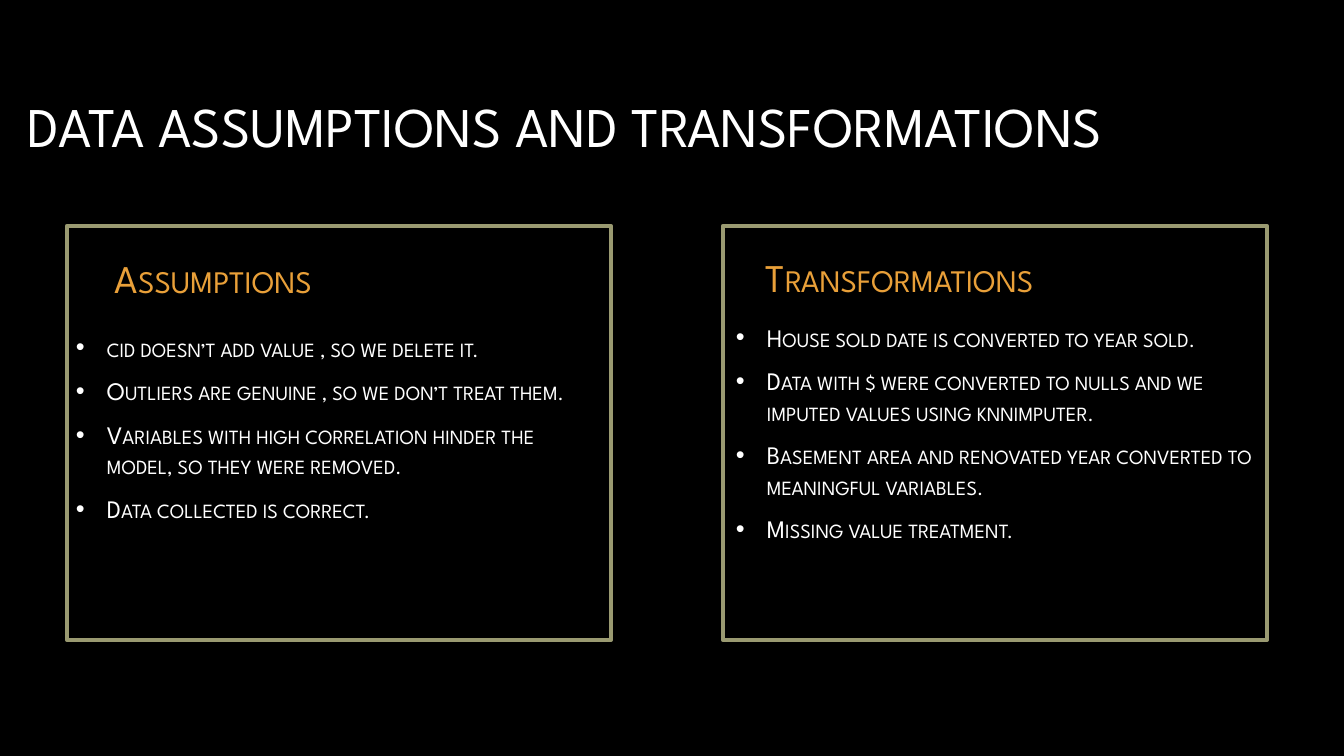
from pptx import Presentation
from pptx.dml.color import RGBColor
from pptx.enum.shapes import MSO_SHAPE
from pptx.enum.text import MSO_ANCHOR
from pptx.oxml.ns import qn
from pptx.util import Pt
from lxml.etree import SubElement

# Content
TITLE = "DATA ASSUMPTIONS AND TRANSFORMATIONS"
TITLE_BOX = (18, 20, 1318, 210)
PANELS = [
    {
        "heading": "Assumptions",
        "frame": (67, 226, 544, 414),
        "heading_box": (105, 243, 506, 63),
        "list_box": (66, 327, 537, 281),
        "items": [
            "cid doesn’t add value , so we delete it.",
            "Outliers are genuine , so we don’t treat them.",
            "Variables with high correlation hinder the model, so they were removed.",
            "Data collected is correct.",
        ],
    },
    {
        "heading": "Transformations",
        "frame": (723, 226, 544, 414),
        "heading_box": (756, 242, 508, 63),
        "list_box": (726, 317, 538, 281),
        "items": [
            "House sold date is converted to year sold.",
            "Data with $ were converted to nulls and we imputed values using knnimputer.",
            "Basement area and renovated year converted to meaningful variables.",
            "Missing value treatment.",
        ],
    },
]
COLORS = {"back": "000000", "text": "FFFFFF", "heading": "E9A039", "frame": "9A9A71"}
FONT = "League Spartan"

# Scale: 1344 px across a 13.33 inch slide
SLIDE_W, SLIDE_H = 1344, 756
EMU = 12192000 / SLIDE_W
INDENT = 31


def px(n):
    return round(n * EMU)


def rgb(name):
    return RGBColor.from_string(COLORS[name])


def add_bullet(p):
    pPr = p._p.get_or_add_pPr()
    pPr.set("marL", str(px(INDENT)))
    pPr.set("indent", str(-px(INDENT)))
    SubElement(pPr, qn("a:buFont"), typeface="Arial")
    SubElement(pPr, qn("a:buChar"), char="•")


def add_text(s, box, lines, size, color, anchor, small=True, bullets=False):
    tb = s.shapes.add_textbox(*map(px, box))
    tf = tb.text_frame
    tf.word_wrap = True
    tf.vertical_anchor = anchor
    for i, line in enumerate(lines):
        p = tf.paragraphs[0] if i == 0 else tf.add_paragraph()
        if i:
            p.space_before = Pt(size * 0.2)
        if small:
            p.space_after = Pt(6)
        if bullets:
            add_bullet(p)
        r = p.add_run()
        r.text = line
        r.font.name = FONT
        r.font.size = Pt(size)
        r.font.color.rgb = rgb(color)
        if small:
            r._r.get_or_add_rPr().set("cap", "small")


def add_frame(s, box):
    sp = s.shapes.add_shape(MSO_SHAPE.RECTANGLE, *map(px, box))
    sp.shadow.inherit = False
    sp.fill.background()
    sp.line.color.rgb = rgb("frame")
    sp.line.width = Pt(3)
    SubElement(sp.line._get_or_add_ln(), qn("a:round"))


# Slide
prs = Presentation()
prs.slide_width, prs.slide_height = px(SLIDE_W), px(SLIDE_H)
s = prs.slides.add_slide(prs.slide_layouts[6])
s.background.fill.solid()
s.background.fill.fore_color.rgb = rgb("back")

# Title
add_text(s, TITLE_BOX, [TITLE], 40, "text", MSO_ANCHOR.MIDDLE, small=False)

# Panels
for panel in PANELS:
    add_frame(s, panel["frame"])
    add_text(s, panel["heading_box"], [panel["heading"]], 28, "heading", MSO_ANCHOR.BOTTOM)
    add_text(s, panel["list_box"], panel["items"], 18, "text", MSO_ANCHOR.TOP, bullets=True)

prs.save("out.pptx")
